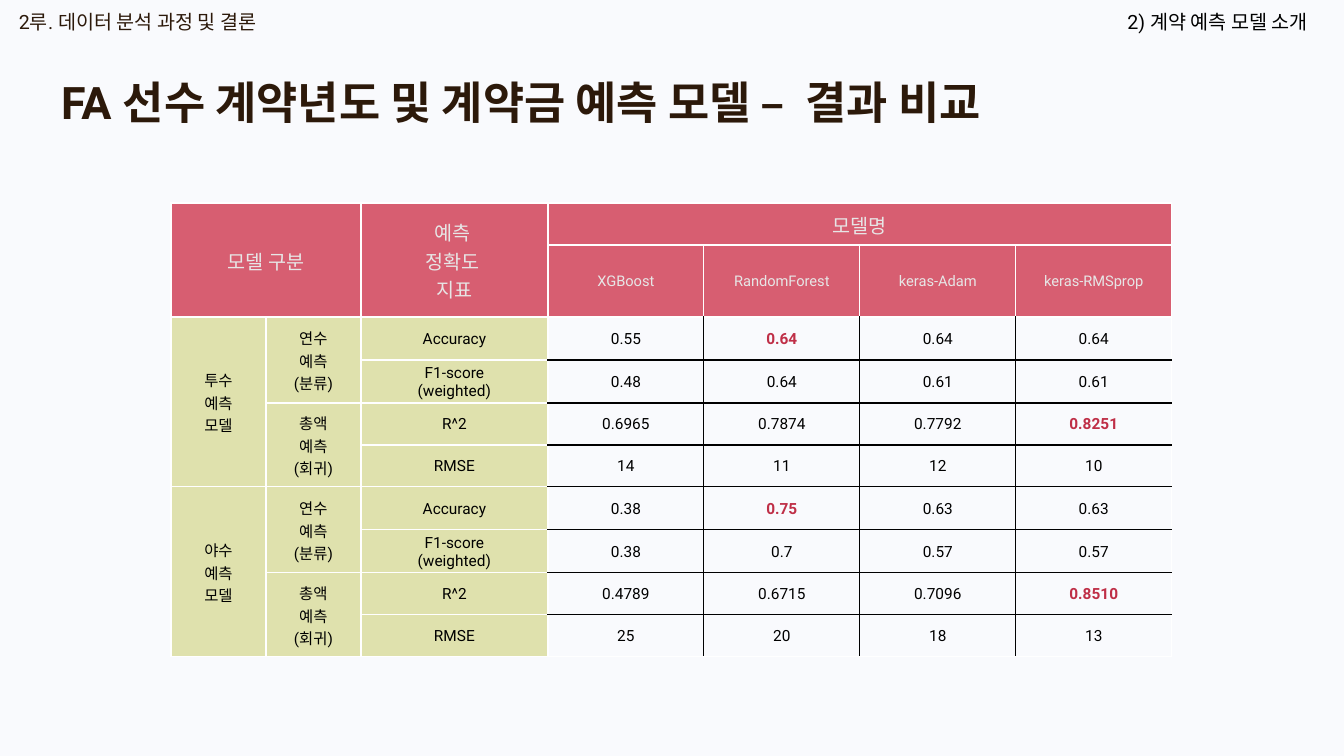
from lxml import etree
from pptx import Presentation
from pptx import util as u
from pptx.dml.color import RGBColor
from pptx.enum import text
from pptx.oxml import ns

# Content
TITLE = "FA 선수 계약년도 및 계약금 예측 모델 –  결과 비교"
LEFT = "2루. 데이터 분석 과정 및 결론"
RIGHT = "2) 계약 예측 모델 소개"
MODELS = ["XGBoost", "RandomForest", "keras-Adam", "keras-RMSprop"]
METRICS = ["Accuracy", "F1-score\v(weighted)", "R^2", "RMSE"]
GROUPS = ["투수\v예측\v모델", "야수\v예측\v모델"]
TASKS = ["연수\v예측\v(분류)", "총액\v예측\v(회귀)"]
SCORES = [
    ["0.55", "0.64", "0.64", "0.64"],
    ["0.48", "0.64", "0.61", "0.61"],
    ["0.6965", "0.7874", "0.7792", "0.8251"],
    ["14", "11", "12", "10"],
    ["0.38", "0.75", "0.63", "0.63"],
    ["0.38", "0.7", "0.57", "0.57"],
    ["0.4789", "0.6715", "0.7096", "0.8510"],
    ["25", "20", "18", "13"],
]
BEST = {(0, 1), (2, 3), (4, 1), (6, 3)}

# Layout in px
WIDE, HIGH = 1344, 756
COLS = [95, 95, 187] + [156] * 4
ROWS = [42, 72] + [43, 43, 42, 42] * 2
HEAD, SIDE = 2, 3  # header rows, label columns

FONT = "Roboto"
BROWN, BLACK, WHITE, GREY = "2C190A", "000000", "FFFFFF", "E7E6E6"
ROSE, OLIVE, RED, PAPER = "D75E71", "DFE1AD", "BF2F47", "F9FAFD"


def px(n):
    return u.Emu(n * 914400 * 10 // 1008)


def paint(fill, color):
    fill.solid()
    fill.fore_color.rgb = RGBColor.from_string(color)


def style(frame, size, color, bold=False, align=text.PP_ALIGN.LEFT):
    for para in frame.paragraphs:
        para.alignment = align
        for run in para.runs:
            font = run.font
            font.name, font.size, font.bold = FONT, u.Pt(size), bold
            font.color.rgb = RGBColor.from_string(color)


def label(words, x, align, color):
    frame = slide.shapes.add_textbox(px(x), px(5), px(354), px(34)).text_frame
    frame.word_wrap = True
    frame.auto_size = text.MSO_AUTO_SIZE.SHAPE_TO_FIT_TEXT
    frame.text = words
    style(frame, 14, color, align=align)


def edge(cell, side, color):
    line = etree.SubElement(cell._tc.get_or_add_tcPr(), ns.qn("a:ln" + side), w="12700")
    fill = etree.SubElement(line, ns.qn("a:solidFill"))
    etree.SubElement(fill, ns.qn("a:srgbClr"), val=color)


def put(r, c, words, size, color, bold=False):
    frame = grid.cell(r, c).text_frame
    frame.text = words
    style(frame, size, color, bold, text.PP_ALIGN.CENTER)


def span(r, c, high, wide):
    grid.cell(r, c).merge(grid.cell(r + high - 1, c + wide - 1))


# Slide and title
deck = Presentation()
deck.slide_width, deck.slide_height = px(WIDE), px(HIGH)
slide = deck.slides.add_slide(deck.slide_layouts[5])
paint(slide.background.fill, PAPER)

label(LEFT, 9, text.PP_ALIGN.LEFT, BROWN)
title = slide.shapes.title
title.left, title.top, title.width, title.height = px(51), px(70), px(1266), px(64)
frame = title.text_frame
frame.text = TITLE
frame.word_wrap = True
frame.vertical_anchor = text.MSO_ANCHOR.TOP
frame.auto_size = text.MSO_AUTO_SIZE.SHAPE_TO_FIT_TEXT
style(frame, 32, BROWN, True)

# Table frame
grid = slide.shapes.add_table(
    len(ROWS), len(COLS), px(171), px(203), px(sum(COLS)), px(sum(ROWS))).table
grid.first_row = grid.horz_banding = False
for col, wide in zip(grid.columns, COLS):
    col.width = px(wide)
for row, high in zip(grid.rows, ROWS):
    row.height = px(high)

# Cell borders and fills: black only between two score cells
for r in range(len(ROWS)):
    for c in range(len(COLS)):
        cell = grid.cell(r, c)
        cell.margin_left = cell.margin_right = cell.margin_top = px(1)
        cell.margin_bottom = 0
        cell.vertical_anchor = text.MSO_ANCHOR.MIDDLE
        score = r >= HEAD and c >= SIDE
        inner = {"L": c > SIDE, "R": c < len(COLS) - 1,
                 "T": r > HEAD, "B": r < len(ROWS) - 1}
        for side, dark in inner.items():
            edge(cell, side, BLACK if score and dark else WHITE)
        if score:
            cell.fill.background()
        else:
            paint(cell.fill, ROSE if r < HEAD else OLIVE)

# Header cells
span(0, 0, HEAD, 2)
span(0, 2, HEAD, 1)
span(0, SIDE, 1, len(MODELS))
put(0, 0, "모델 구분", 14, GREY)
put(0, 2, "예측 \v정확도 \v지표", 14, GREY)
put(0, SIDE, "모델명", 14, GREY)
for c, name in enumerate(MODELS, SIDE):
    put(1, c, name, 10.5, GREY)

# Row labels and scores
for g, group in enumerate(GROUPS):
    top = HEAD + g * len(METRICS)
    span(top, 0, len(METRICS), 1)
    put(top, 0, group, 11, BLACK)
    for t, task in enumerate(TASKS):
        span(top + 2 * t, 1, 2, 1)
        put(top + 2 * t, 1, task, 11, BLACK)
    for m, metric in enumerate(METRICS):
        put(top + m, 2, metric, 11, BLACK)
for r, line in enumerate(SCORES):
    for c, value in enumerate(line):
        best = (r, c) in BEST
        put(HEAD + r, SIDE + c, value, 11, RED if best else BLACK, best)

label(RIGHT, 964, text.PP_ALIGN.RIGHT, BLACK)
deck.save("out.pptx")
